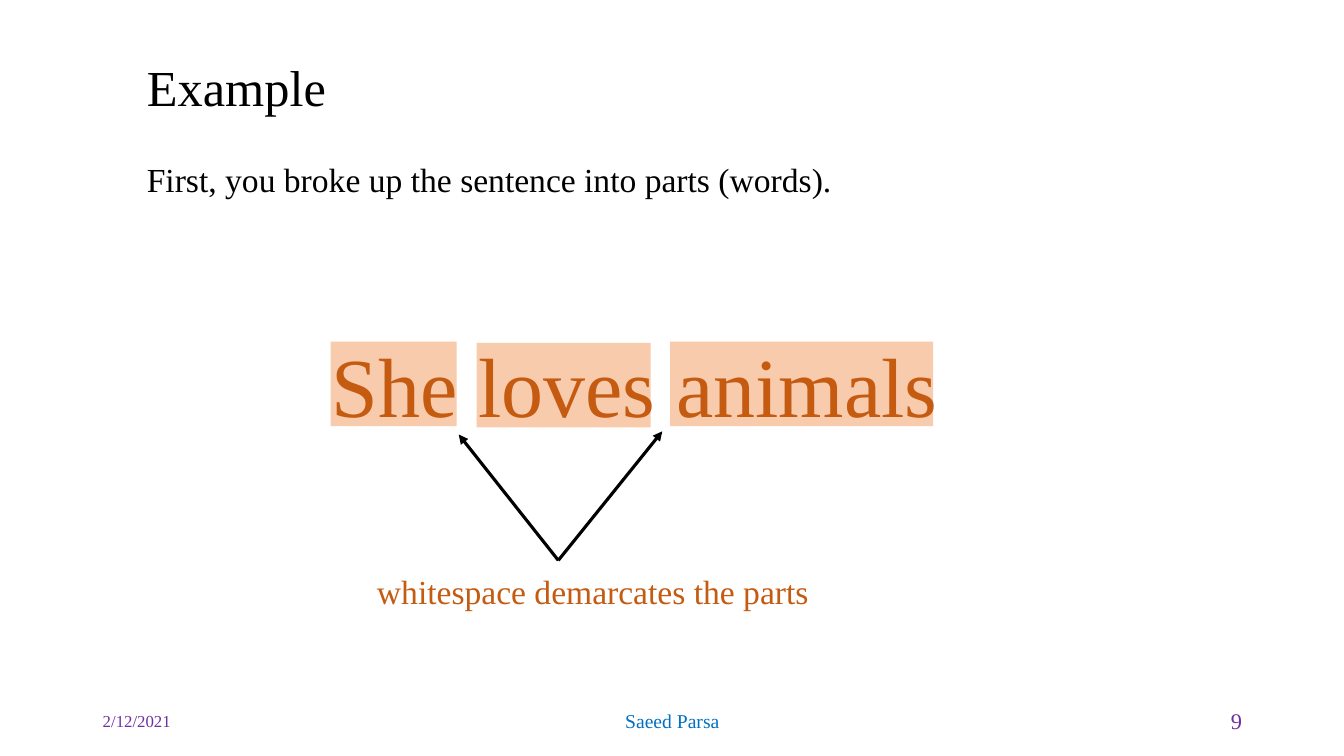
from lxml.etree import SubElement
from pptx import Presentation
from pptx.dml.color import RGBColor
from pptx.enum.shapes import MSO_CONNECTOR, MSO_SHAPE
from pptx.enum.text import MSO_ANCHOR, PP_ALIGN
from pptx.oxml.ns import qn
from pptx.util import Cm, Pt

BLACK = RGBColor(0x00, 0x00, 0x00)
ORANGE = RGBColor(0xC5, 0x5A, 0x11)
PEACH = RGBColor(0xF8, 0xCB, 0xAD)
PURPLE = RGBColor(0x70, 0x30, 0xA0)
BLUE = RGBColor(0x00, 0x70, 0xC0)


class SlideBuilder:
    font = "Times New Roman"

    def __init__(self, slide):
        self.s = slide

    def set_text(self, tf, text, size, color, align=PP_ALIGN.LEFT):
        tf.text = text
        p = tf.paragraphs[0]
        p.alignment = align
        r = p.runs[0]
        r.font.name = self.font
        r.font.size = Pt(size)
        r.font.color.rgb = color
        return p

    def title(self, text, left, top, width, height, size):
        sp = self.s.shapes.title
        sp.left, sp.top = Cm(left), Cm(top)
        sp.width, sp.height = Cm(width), Cm(height)
        tf = sp.text_frame
        tf.vertical_anchor = MSO_ANCHOR.MIDDLE
        p = self.set_text(tf, text, size, BLACK)
        p.line_spacing = 0.9

    def text(self, text, left, top, width, height, size, color,
             align=PP_ALIGN.LEFT, anchor=MSO_ANCHOR.TOP, wrap=True):
        sp = self.s.shapes.add_textbox(Cm(left), Cm(top), Cm(width), Cm(height))
        tf = sp.text_frame
        tf.word_wrap = wrap
        tf.vertical_anchor = anchor
        self.set_text(tf, text, size, color, align)

    def highlight(self, left, top, width, height):
        sp = self.s.shapes.add_shape(
            MSO_SHAPE.RECTANGLE, Cm(left), Cm(top), Cm(width), Cm(height))
        sp.shadow.inherit = False
        sp.fill.solid()
        sp.fill.fore_color.rgb = PEACH
        sp.line.fill.background()

    def arrow(self, x1, y1, x2, y2):
        c = self.s.shapes.add_connector(
            MSO_CONNECTOR.STRAIGHT, Cm(x1), Cm(y1), Cm(x2), Cm(y2))
        c.line.color.rgb = BLACK
        c.line.width = Pt(2.25)
        spPr = c.element.spPr
        SubElement(spPr.find(qn("a:ln")), qn("a:tailEnd"), type="triangle")
        SubElement(spPr, qn("a:effectLst"))


def main():
    prs = Presentation()
    prs.slide_width, prs.slide_height = Cm(33.87), Cm(19.05)
    b = SlideBuilder(prs.slides.add_slide(prs.slide_layouts[5]))

    b.title("Example", 3.45, 1.47, 17.4, 1.63, 36)
    b.text("First, you broke up the sentence into parts (words).",
           3.45, 3.89, 28.07, 1.27, 24, BLACK)

    for left, top, width in [(8.33, 8.61, 3.18), (12.01, 8.64, 4.39), (16.89, 8.61, 6.63)]:
        b.highlight(left, top, width, 2.13)
    b.text("She loves animals", 8.1, 8.28, 15.8, 2.82, 60, ORANGE, wrap=False)

    for gap_x, gap_y in [(11.56, 10.95), (16.69, 10.87)]:
        b.arrow(14.07, 14.12, gap_x, gap_y)
    b.text("whitespace demarcates the parts",
           9.25, 14.25, 11.48, 1.27, 24, ORANGE, wrap=False)

    for text, left, width, size, color, align in [
        ("2/12/2021", 2.34, 7.62, 12, PURPLE, PP_ALIGN.LEFT),
        ("Saeed Parsa", 11.23, 11.43, 14, BLUE, PP_ALIGN.CENTER),
        ("9", 23.93, 7.62, 16, PURPLE, PP_ALIGN.RIGHT),
    ]:
        b.text(text, left, 17.65, width, 1.02, size, color, align, MSO_ANCHOR.MIDDLE)

    prs.save("out.pptx")


if __name__ == "__main__":
    main()
